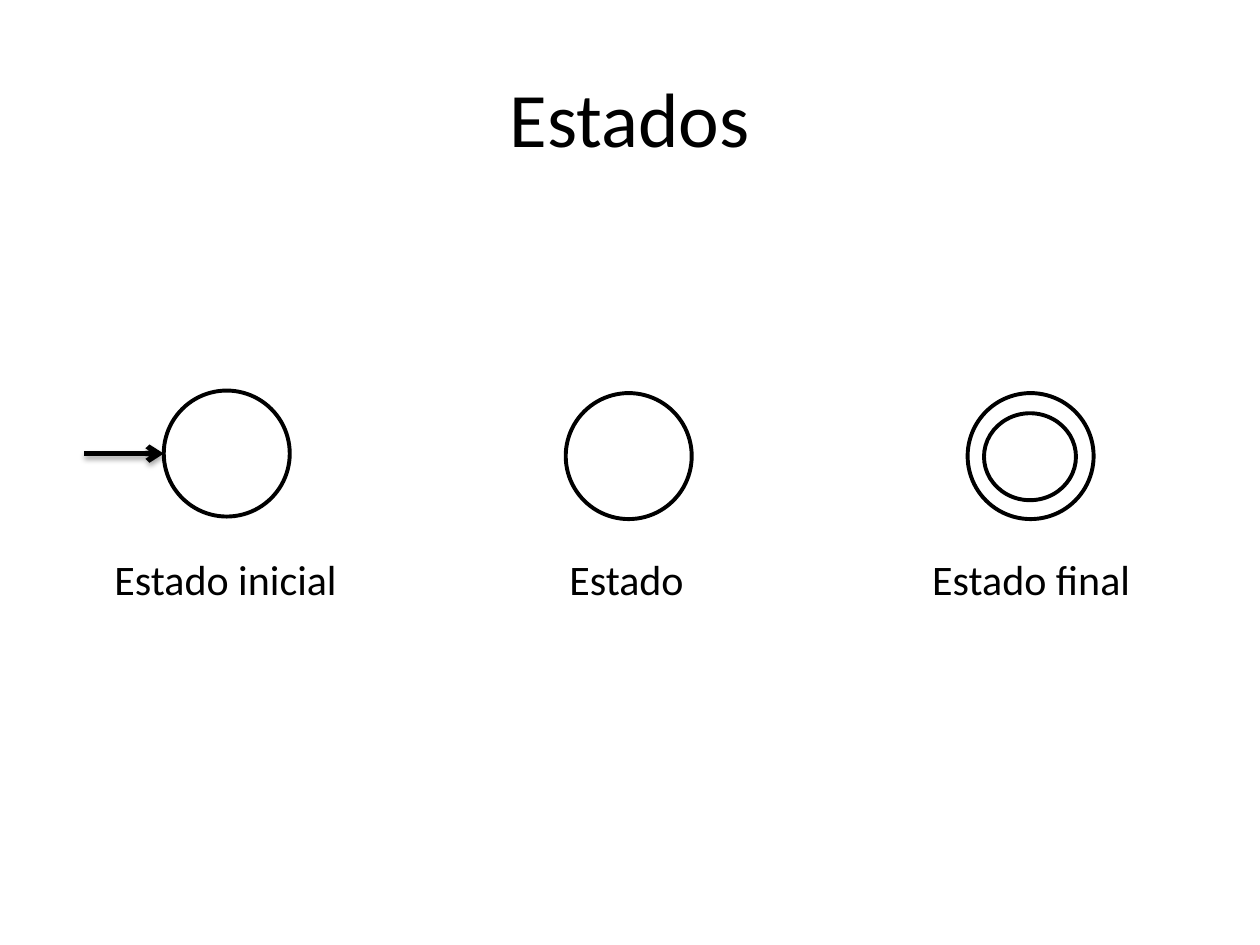
import pptx
import pptx.util
import pptx.dml.color
import pptx.enum.shapes
import pptx.enum.text
import pptx.oxml
import pptx.oxml.ns
from pptx.util import Inches

BLACK = pptx.dml.color.RGBColor(0x00, 0x00, 0x00)
WHITE = pptx.dml.color.RGBColor(0xFF, 0xFF, 0xFF)
ALIGN = pptx.enum.text.PP_ALIGN
ANCHOR = pptx.enum.text.MSO_ANCHOR
DIAMETER = 1.0


def add_text(s, text, left, top, width, height, size=24, wrap=False,
             align=ALIGN.LEFT, anchor=ANCHOR.TOP, color=BLACK, font="Calibri"):
    """Add a text box holding one formatted line."""
    sp = s.shapes.add_textbox(Inches(left), Inches(top), Inches(width), Inches(height))
    tf = sp.text_frame
    tf.word_wrap = wrap
    tf.vertical_anchor = anchor
    if not wrap:
        tf.auto_size = pptx.enum.text.MSO_AUTO_SIZE.SHAPE_TO_FIT_TEXT
    p = tf.paragraphs[0]
    p.alignment = align
    r = p.add_run()
    r.text = text
    r.font.size = pptx.util.Pt(size)
    r.font.name = font
    r.font.color.rgb = color


def add_circle(s, left, top, width=DIAMETER, height=DIAMETER):
    """Add a white, black-outlined state circle."""
    sp = s.shapes.add_shape(pptx.enum.shapes.MSO_SHAPE.OVAL, Inches(left), Inches(top),
                            Inches(width), Inches(height))
    sp.shadow.inherit = False
    sp.fill.solid()
    sp.fill.fore_color.rgb = WHITE
    sp.line.color.rgb = BLACK
    sp.line.width = pptx.util.Pt(2.25)


def add_arrow(s, x1, x2, y):
    """Add a horizontal arrow with a soft shadow below it."""
    line = s.shapes.add_connector(pptx.enum.shapes.MSO_CONNECTOR.STRAIGHT,
                                  Inches(x1), Inches(y), Inches(x2), Inches(y))
    line.line.color.rgb = BLACK
    line.line.width = pptx.util.Pt(3)
    ns = pptx.oxml.ns.nsdecls("a")
    ln = line.line._get_or_add_ln()
    ln.append(pptx.oxml.parse_xml(f'<a:tailEnd {ns} type="arrow"/>'))
    blur, dist = pptx.util.Pt(3.1), pptx.util.Pt(1.8)
    ln.addnext(pptx.oxml.parse_xml(
        f'<a:effectLst {ns}><a:outerShdw blurRad="{blur}" dist="{dist}" dir="5400000" '
        'rotWithShape="0"><a:srgbClr val="000000"><a:alpha val="35000"/></a:srgbClr>'
        '</a:outerShdw></a:effectLst>'))


def main():
    """Build the slide of automaton states."""
    prs = pptx.Presentation()
    prs.slide_width, prs.slide_height = Inches(10), Inches(7.5)
    s = prs.slides.add_slide(prs.slide_layouts[6])

    add_text(s, "Estados", 0.5, 0.3, 9, 1.25, size=44, wrap=True,
             align=ALIGN.CENTER, anchor=ANCHOR.MIDDLE)

    states = [
        ("Estado inicial", 1.3, 3.1, 0.81, 1.98),
        ("Estado", 4.49, 3.12, 4.42, 1.12),
        ("Estado final", 7.68, 3.12, 7.3, 1.79),
    ]
    for label, left, top, label_left, label_width in states:
        add_circle(s, left, top)
        add_text(s, label, label_left, 4.34, label_width, 0.5)

    add_circle(s, 7.81, 3.28, 0.73, 0.69)
    add_arrow(s, 0.67, 1.3, 3.1 + DIAMETER / 2)

    prs.save("out.pptx")


main()
